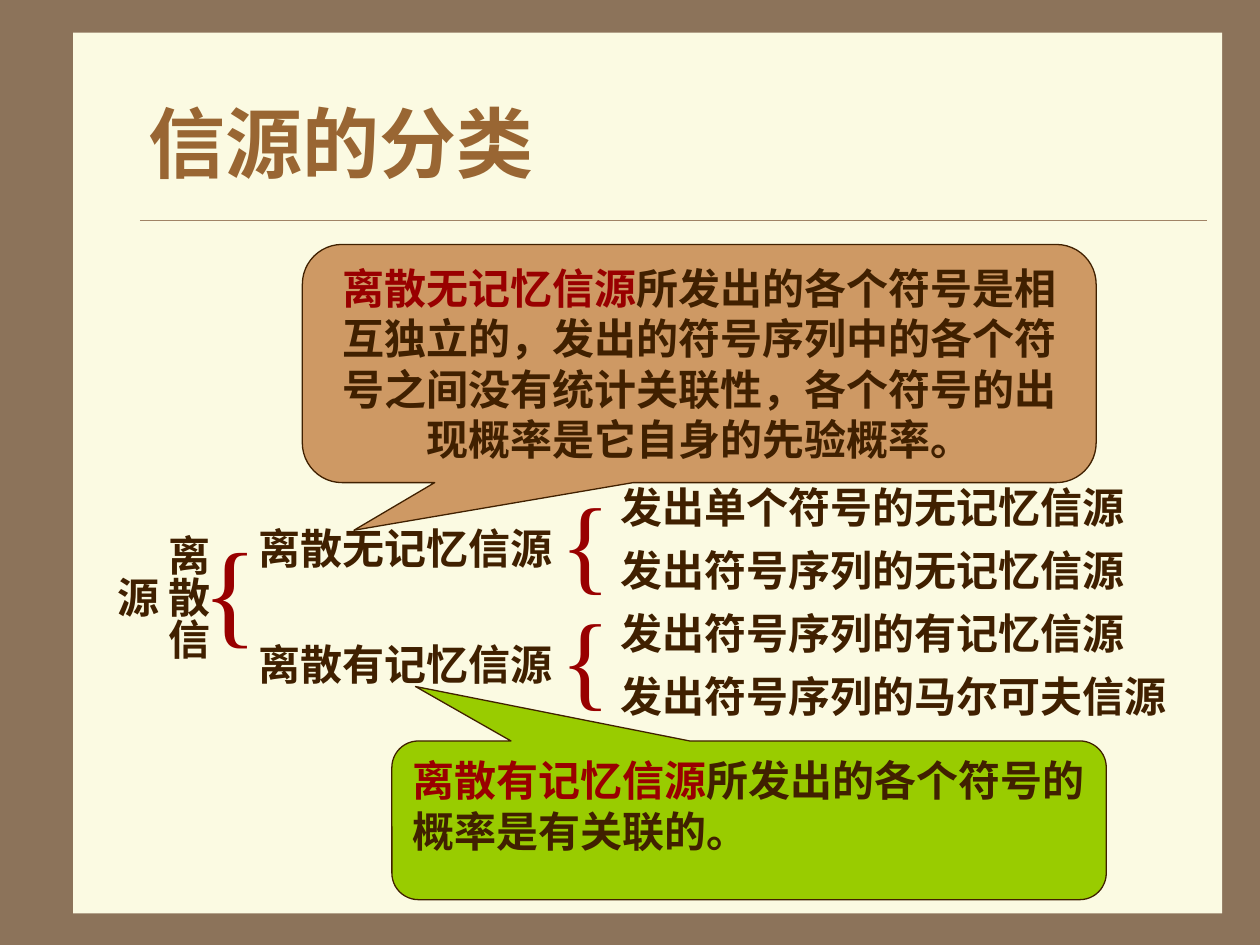
from lxml import etree
from pptx import Presentation
from pptx.dml.color import RGBColor
from pptx.enum import shapes, text
from pptx.oxml import ns
from pptx.util import Inches, Pt

FRAME = RGBColor(0x8C, 0x73, 0x5A)
PAPER = RGBColor(0xFB, 0xFA, 0xE2)
RULE = RGBColor(0xA0, 0x83, 0x66)
HEADING = RGBColor(0x99, 0x66, 0x33)
INK = RGBColor(0x40, 0x20, 0x00)
RED = RGBColor(0x99, 0x00, 0x00)
TAN = RGBColor(0xCE, 0x99, 0x64)
GREEN = RGBColor(0x99, 0xCC, 0x00)
FONT = "Times New Roman"
LABEL = {"name": FONT, "size": Pt(24), "bold": True}


def write(paragraph, words, color, style):
    run = paragraph.add_run()
    run.text = words
    for key, value in style.items():
        setattr(run.font, key, value)
    run.font.color.rgb = color


def add_text(box, words, color, style, frame_format, line_spacing=None):
    area = slide.shapes.add_textbox(*[Inches(v) for v in box])
    frame = area.text_frame
    for key, value in frame_format.items():
        setattr(frame, key, value)
    paragraph = frame.paragraphs[0]
    paragraph.alignment = text.PP_ALIGN.CENTER
    paragraph.line_spacing = line_spacing
    write(paragraph, words, color, style)
    return area


deck = Presentation()
deck.slide_width, deck.slide_height = Inches(10), Inches(7.5)
slide = deck.slides.add_slide(deck.slide_layouts[5])
slide.background.fill.solid()
slide.background.fill.fore_color.rgb = FRAME

paper = slide.shapes.add_shape(
    shapes.MSO_SHAPE.RECTANGLE, Inches(0.58), Inches(0.26), Inches(9.12), Inches(6.99))
paper.shadow.inherit = False
paper.fill.solid()
paper.fill.fore_color.rgb = PAPER
paper.line.fill.background()

rule = slide.shapes.add_connector(
    shapes.MSO_CONNECTOR.STRAIGHT, Inches(1.11), Inches(1.75), Inches(9.58), Inches(1.75))
rule.line.color.rgb = RULE
rule.line.width = Pt(0.25)
etree.SubElement(rule.element.spPr, ns.qn("a:effectLst"))

fit = {"auto_size": text.MSO_AUTO_SIZE.SHAPE_TO_FIT_TEXT}
brace_format = fit | {"word_wrap": False, "vertical_anchor": text.MSO_ANCHOR.MIDDLE}
label_format = brace_format | {"word_wrap": True}

for box, size in [
    ((1.51, 4.06, 0.64, 1.2), 66),
    ((4.35, 3.73, 0.6, 1.1), 60),
    ((4.35, 4.65, 0.6, 1.1), 60),
]:
    add_text(box, "{", RED, {"name": FONT, "size": Pt(size)}, brace_format)

for row, branch in enumerate(["离散无记忆信源", "离散有记忆信源"]):
    add_text((1.93, 4.06 + 0.92 * row, 2.58, 0.54), branch, INK, LABEL, label_format, 1.1)

for row, (leaf, width) in enumerate([
    ("发出单个符号的无记忆信源", 4.33),
    ("发出符号序列的无记忆信源", 4.33),
    ("发出符号序列的有记忆信源", 4.33),
    ("发出符号序列的马尔可夫信源", 4.67),
]):
    add_text((4.76, 3.73 + 0.5 * row, width, 0.54), leaf, INK, LABEL, label_format, 1.1)

root_format = fit | {
    "word_wrap": True,
    "margin_left": Inches(0.05), "margin_right": Inches(0.05),
    "margin_top": Inches(0.1), "margin_bottom": Inches(0.1),
}
root = add_text((1.14, 4.14, 0.6, 1.5), "离散信源", INK, LABEL, root_format)
root.text_frame._txBody.bodyPr.set("vert", "eaVert")

heading = slide.shapes.title
heading.element.getparent().append(heading.element)
for key, value in {"left": 1.08, "top": 0.5, "width": 8.5, "height": 1.25}.items():
    setattr(heading, key, Inches(value))
heading.text_frame.vertical_anchor = text.MSO_ANCHOR.MIDDLE
heading.text_frame.paragraphs[0].alignment = text.PP_ALIGN.LEFT
write(heading.text_frame.paragraphs[0], "信源的分类", HEADING, LABEL | {"size": Pt(44)})

for box, pointer, turn, color, align, term, meaning in [
    ((2.4, 1.94, 6.3, 1.89), (-0.435, 0.7, 0.167), 0, TAN, text.PP_ALIGN.CENTER,
     "离散无记忆信源",
     "所发出的各个符号是相互独立的，发出的符号序列中的各个符号之间没有统计关联性，"
     "各个符号的出现概率是它自身的先验概率。"),
    ((3.11, 5.88, 5.67, 1.26), (0.467, 0.843, 0.167), 180, GREEN, text.PP_ALIGN.LEFT,
     "离散有记忆信源", "所发出的各个符号的概率是有关联的。"),
]:
    callout = slide.shapes.add_shape(
        shapes.MSO_SHAPE.ROUNDED_RECTANGULAR_CALLOUT, *[Inches(v) for v in box])
    callout.shadow.inherit = False
    callout.rotation = turn
    for index, value in enumerate(pointer):
        callout.adjustments[index] = value
    callout.fill.solid()
    callout.fill.fore_color.rgb = color
    callout.line.color.rgb = INK
    callout.line.width = Pt(0.75)
    frame = callout.text_frame
    frame.word_wrap = True
    frame.vertical_anchor = text.MSO_ANCHOR.TOP
    if turn:
        frame._txBody.bodyPr.set("rot", str(turn * 60000))
    definition = frame.paragraphs[0]
    definition.alignment = align
    write(definition, term, RED, LABEL)
    write(definition, meaning, INK, LABEL)

deck.save("out.pptx")
